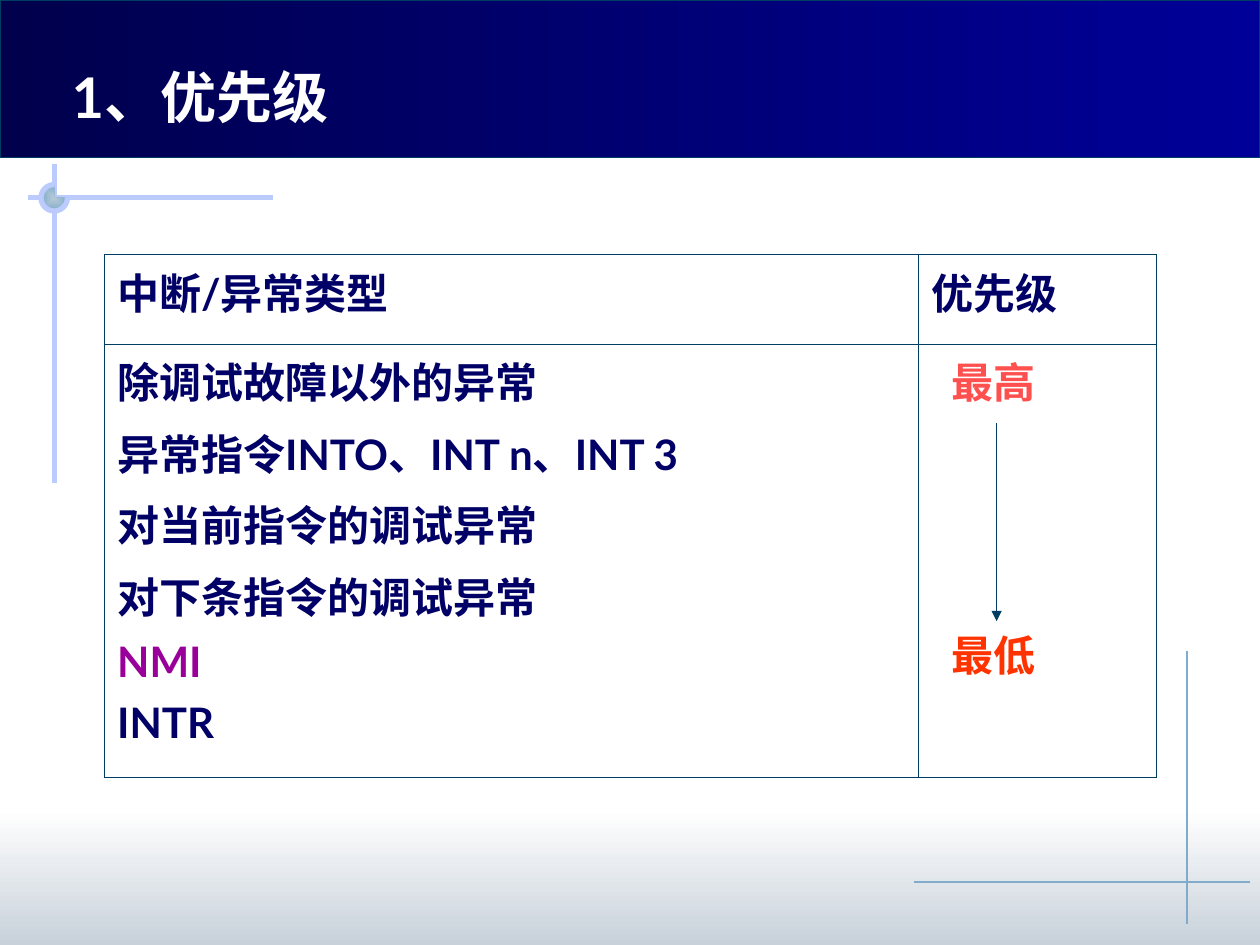
from dataclasses import dataclass

from lxml.etree import SubElement
from pptx import Presentation
from pptx.dml.color import RGBColor
from pptx.enum.shapes import MSO_CONNECTOR, MSO_SHAPE
from pptx.oxml.ns import qn
from pptx.util import Inches, Pt


@dataclass(frozen=True)
class Theme:
    """Colours, font and sizes of the slide."""
    font: str = "Lato"
    title_size: int = 32
    body_size: int = 24
    white: str = "FFFFFF"
    navy: str = "000066"
    banner_dark: str = "00004C"
    banner_light: str = "000099"
    border: str = "003D62"
    lavender: str = "BBCBFD"
    steel: str = "81ABCB"
    mist: str = "B6CBD6"
    footer: str = "C8D1DA"
    purple: str = "990099"
    coral: str = "FF5050"
    red: str = "FF3300"
    thin: float = 0.75
    thick: float = 3
    inner: float = 0.45
    outer: float = 1.08


THEME = Theme()
HEADERS = ["中断/异常类型", "优先级"]
TYPES = [
    ("除调试故障以外的异常", THEME.navy),
    ("异常指令INTO、INT n、INT 3", THEME.navy),
    ("对当前指令的调试异常", THEME.navy),
    ("对下条指令的调试异常", THEME.navy),
    ("NMI", THEME.purple),
    ("INTR", THEME.navy),
]


def rgb(value):
    """Turn a hex string into a colour."""
    return RGBColor.from_string(value)


def style_runs(paragraph, size, color):
    """Give every run of a paragraph the bold theme font."""
    for run in paragraph.runs:
        run.font.name = THEME.font
        run.font.size = Pt(size)
        run.font.bold = True
        run.font.color.rgb = rgb(color)


def add_rule(slide, start, end, color, width):
    """Draw a straight line between two points in inches."""
    ends = [Inches(value) for value in (*start, *end)]
    rule = slide.shapes.add_connector(MSO_CONNECTOR.STRAIGHT, *ends)
    rule.line.color.rgb = rgb(color)
    rule.line.width = Pt(width)
    SubElement(rule._element.spPr, qn("a:effectLst"))
    return rule


def add_panel(slide, kind, box, colors=None, angle=0, outline=None, width=0):
    """Add a preset shape with an optional gradient and outline."""
    panel = slide.shapes.add_shape(kind, *[Inches(value) for value in box])
    panel.shadow.inherit = False
    if colors:
        panel.fill.gradient()
        panel.fill.gradient_angle = angle
        for stop, color in zip(panel.fill.gradient_stops, colors):
            stop.color.rgb = rgb(color)
    else:
        panel.fill.background()
    if outline:
        panel.line.color.rgb = rgb(outline)
        panel.line.width = Pt(width)
    else:
        panel.line.fill.background()
    return panel


def add_footer(slide, box):
    """Place the fading footer band and the thin cross above it."""
    left, top, width, height = box
    add_panel(slide, MSO_SHAPE.RECTANGLE, box, (THEME.white, THEME.footer), 270)
    cross_x, cross_y = left + width - 0.58, top + 0.58
    add_rule(slide, (cross_x, top - 1.25), (cross_x, top + 0.91), THEME.steel, THEME.thin)
    add_rule(slide, (left + 7.25, cross_y), (left + 9.92, cross_y), THEME.steel, THEME.thin)


def add_corner_mark(slide, box):
    """Place the crossed bars with a round joint."""
    left, top, width, height = box
    center_x, center_y, radius = left + 0.21, top + 0.27, 0.105
    add_rule(slide, (left, center_y), (left + width, center_y), THEME.lavender, THEME.thick)
    add_rule(slide, (center_x, top), (center_x, top + height), THEME.lavender, THEME.thick)
    joint = (center_x - radius, center_y - radius, 2 * radius, 2 * radius)
    ball = add_panel(slide, MSO_SHAPE.PIE, joint, (THEME.mist, THEME.steel))
    gradient = ball._element.spPr.find(qn("a:gradFill"))
    gradient.remove(gradient.find(qn("a:lin")))
    focus = SubElement(gradient, qn("a:path"), path="rect")
    SubElement(focus, qn("a:fillToRect"), l="50000", t="50000", r="50000", b="50000")
    ring = add_panel(slide, MSO_SHAPE.ARC, joint, outline=THEME.lavender, width=THEME.thick)
    for part in (ball, ring):
        part.adjustments[0] = 0
        part.adjustments[1] = 162


def add_banner(slide, box):
    """Place the banner and its title."""
    left, top, width, height = box
    add_panel(slide, MSO_SHAPE.RECTANGLE, box, (THEME.banner_dark, THEME.banner_light),
              outline=THEME.border, width=THEME.thin)
    title = slide.shapes.add_textbox(Inches(left + 0.47), Inches(top + 0.45),
                                     Inches(2.35), Inches(0.64))
    title.text_frame.word_wrap = False
    title.text_frame.text = "1、优先级"
    style_runs(title.text_frame.paragraphs[0], THEME.title_size, THEME.white)


def set_borders(cell, widths):
    """Draw the left, right, top and bottom borders of a cell."""
    properties = cell._tc.get_or_add_tcPr()
    for side, width in zip("LRTB", widths):
        edge = SubElement(properties, qn(f"a:ln{side}"), w=str(Pt(width)))
        fill = SubElement(edge, qn("a:solidFill"))
        SubElement(fill, qn("a:srgbClr"), val=THEME.border)
    cell.fill.background()


def fill_cell(cell, lines, gaps, indent=0):
    """Write coloured lines into a cell with the given gaps before them."""
    cell.text_frame.text = "\n".join(text for text, _ in lines)
    for paragraph, (_, color), gap in zip(cell.text_frame.paragraphs, lines, gaps):
        paragraph.space_before = Pt(gap)
        paragraph._p.get_or_add_pPr().set("marL", str(Inches(indent)))
        style_runs(paragraph, THEME.body_size, color)


def add_priority_table(slide, box):
    """Place the priority table and the arrow from highest to lowest."""
    left, top, width, height = box
    table = slide.shapes.add_table(2, 2, *[Inches(value) for value in box]).table
    table.first_row = table.horz_banding = False
    type_width, header_height = 6.46, 0.71
    table.columns[0].width = Inches(type_width)
    table.columns[1].width = Inches(width - type_width)
    table.rows[0].height = Inches(header_height)
    table.rows[1].height = Inches(height - header_height)
    for column, header in enumerate(HEADERS):
        fill_cell(table.cell(0, column), [(header, THEME.navy)], [6])
    fill_cell(table.cell(1, 0), TYPES, [6] * len(TYPES))
    levels = [("最高", THEME.coral), ("最低", THEME.red)]
    fill_cell(table.cell(1, 1), levels, [10, 121], 0.16)
    sides = [(THEME.outer, THEME.inner), (THEME.inner, THEME.outer)]
    for row in range(2):
        for column in range(2):
            set_borders(table.cell(row, column), sides[column] + sides[row])
    arrow_x = left + 7.08
    arrow = add_rule(slide, (arrow_x, top + 1.34), (arrow_x, top + 2.91),
                     THEME.border, THEME.thin)
    SubElement(arrow.line._get_or_add_ln(), qn("a:tailEnd"), type="triangle")


def main():
    """Build and save the slide."""
    deck = Presentation()
    deck.slide_width, deck.slide_height = Inches(10), Inches(7.5)
    slide = deck.slides.add_slide(deck.slide_layouts[6])
    add_footer(slide, (0, 6.42, 10, 1.08))
    add_corner_mark(slide, (0.22, 1.3, 1.95, 2.53))
    add_banner(slide, (0, 0, 10, 1.25))
    add_priority_table(slide, (0.83, 2.02, 8.35, 4.15))
    deck.save("out.pptx")


if __name__ == "__main__":
    main()
